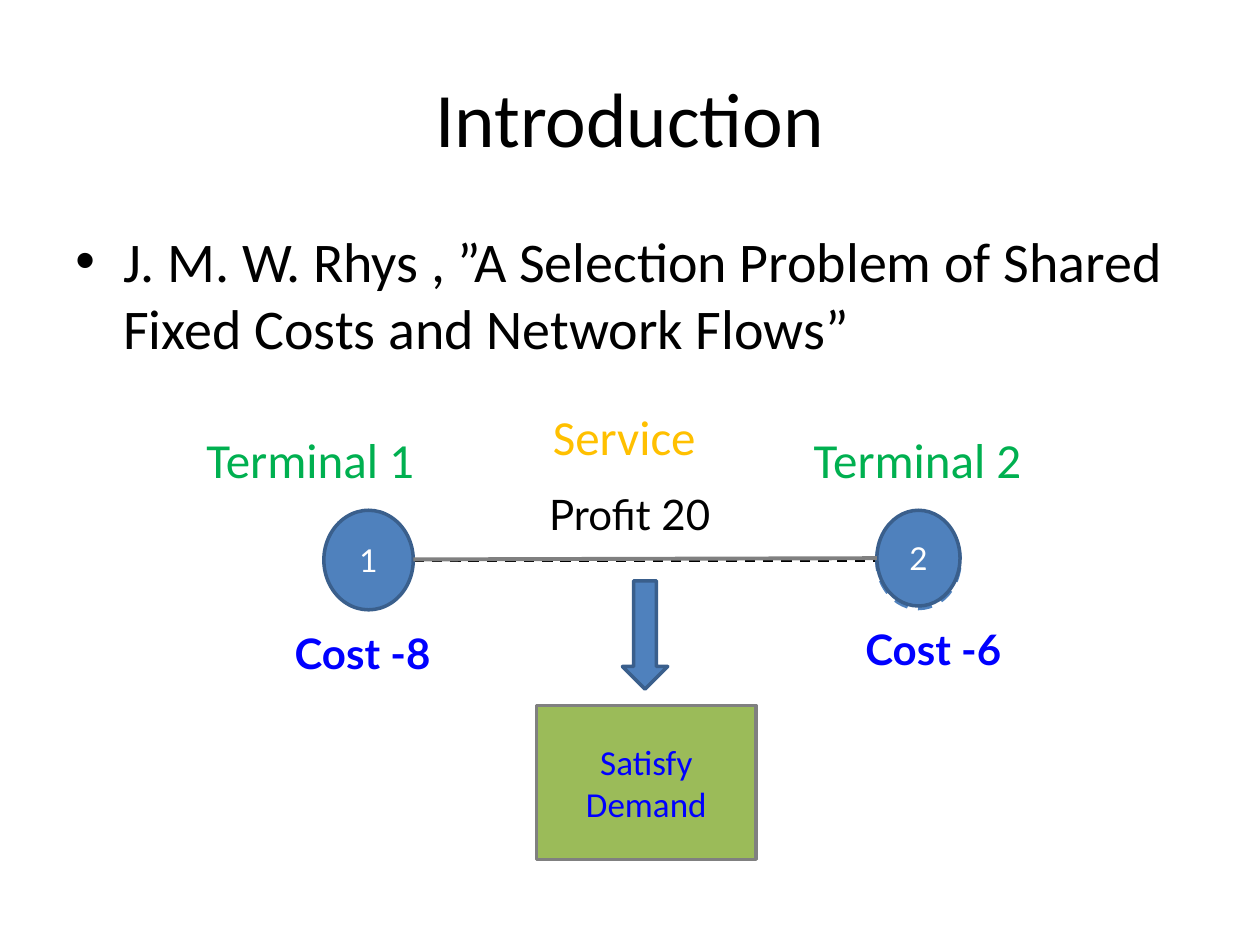
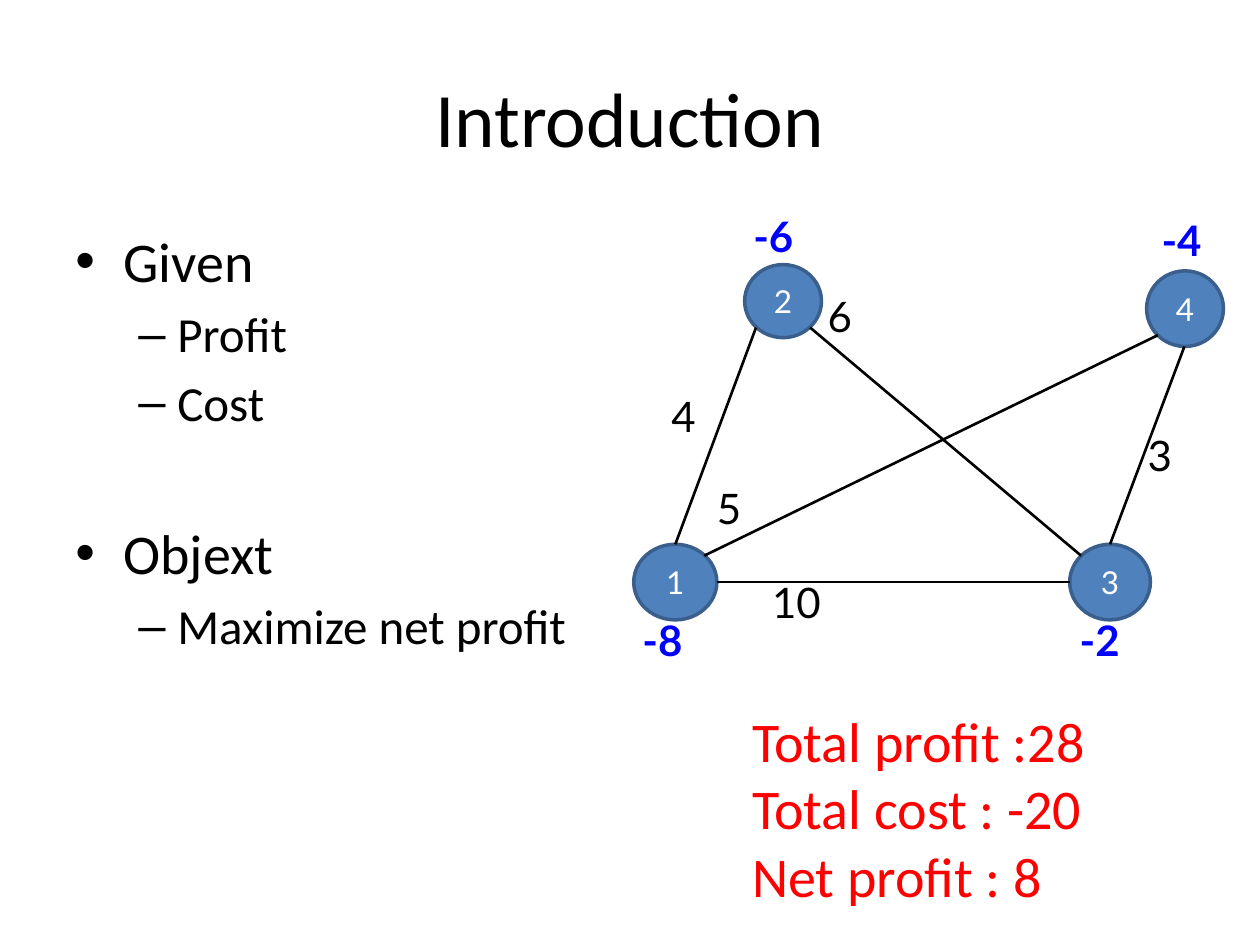
"""Build two introduction slides on selecting terminals and services in a network."""
import math
from dataclasses import dataclass

from lxml import etree
from pptx import Presentation, util as u
from pptx.dml.color import RGBColor
from pptx.enum import dml, shapes, text
from pptx.oxml import ns

PX = 9144
BLACK = RGBColor(0x00, 0x00, 0x00)
WHITE = RGBColor(0xFF, 0xFF, 0xFF)
BLUE = RGBColor(0x4F, 0x81, 0xBD)
DARK_BLUE = RGBColor(0x3A, 0x5F, 0x8C)
COST_BLUE = RGBColor(0x00, 0x00, 0xFF)
GREEN = RGBColor(0x00, 0xB0, 0x50)
OLIVE = RGBColor(0x9B, 0xBB, 0x59)
GREY = RGBColor(0x80, 0x80, 0x80)
AMBER = RGBColor(0xFF, 0xC0, 0x00)
RED = RGBColor(0xFF, 0x00, 0x00)
BODY_FONT, GRAPH_FONT = "Calibri", "Lato"
LEFT, CENTER = text.PP_ALIGN.LEFT, text.PP_ALIGN.CENTER
TOP, MIDDLE = text.MSO_ANCHOR.TOP, text.MSO_ANCHOR.MIDDLE
SITES = ("top", "top left", "left", "bottom left",
         "bottom", "bottom right", "right", "top right")


@dataclass(frozen=True)
class Box:
    """A rectangle in px, 100 to the inch."""
    x: int
    y: int
    w: int
    h: int

    def emu(self) -> list[int]:
        """Return left, top, width and height in EMU."""
        return [v * PX for v in (self.x, self.y, self.w, self.h)]

    def site(self, name: str) -> tuple[int, int]:
        """Return a point on the inscribed ellipse in px."""
        angle = math.radians(90 + 45 * SITES.index(name))
        return (round(self.x + self.w / 2 * (1 + math.cos(angle))),
                round(self.y + self.h / 2 * (1 - math.sin(angle))))


@dataclass(frozen=True)
class Style:
    """How a piece of text is set."""
    size: int
    color: RGBColor = BLACK
    font: str = BODY_FONT
    bold: bool = False
    align: text.PP_ALIGN = LEFT
    anchor: text.MSO_ANCHOR = TOP
    wrap: bool = True


@dataclass(frozen=True)
class Label:
    """Text in a box."""
    words: str
    box: Box
    style: Style


@dataclass(frozen=True)
class Bullet:
    """One body paragraph with its level and space before in points."""
    words: str
    level: int = 0
    before: float = 6.4


@dataclass(frozen=True)
class Level:
    """Bullet sign, margin and hanging indent in px, and text size."""
    sign: str
    margin: int
    hang: int
    size: int


@dataclass(frozen=True)
class Edge:
    """A link between named sites of two nodes."""
    start: str
    start_site: str
    end: str
    end_site: str


LEVELS = (Level("•", 38, 38, 32), Level("–", 81, 31, 28))
TITLE = Label("Introduction", Box(50, 30, 900, 125),
              Style(44, align=CENTER, anchor=MIDDLE))
BODY = Box(50, 175, 900, 495)
NODE = Style(18, WHITE, GRAPH_FONT, align=CENTER, anchor=MIDDLE)
DEMAND = Style(20, COST_BLUE, align=CENTER, anchor=MIDDLE)
COST = Style(24, COST_BLUE, GRAPH_FONT, bold=True)
PROFIT = Style(24, font=GRAPH_FONT)
TERMINAL = Style(28, GREEN, wrap=False)

PAIR = {"1": Box(257, 405, 71, 79), "2": Box(696, 405, 66, 76)}
PAIR_LABELS = (
    Label("Cost -6", Box(677, 490, 193, 50), COST),
    Label("Cost -8", Box(224, 493, 220, 50), COST),
    Label("Profit 20", Box(426, 383, 194, 71), PROFIT),
    Label("Terminal 1", Box(154, 336, 187, 57), TERMINAL),
    Label("Terminal 2", Box(636, 336, 187, 57), TERMINAL),
    Label("Service", Box(429, 318, 150, 57), Style(28, AMBER)),
)

NETWORK = {"1": Box(503, 432, 66, 60), "4": Box(910, 215, 61, 60),
           "3": Box(849, 432, 64, 60), "2": Box(591, 210, 61, 58)}
NETWORK_EDGES = (
    Edge("2", "bottom right", "3", "top left"),
    Edge("1", "top", "2", "bottom left"),
    Edge("1", "top right", "4", "bottom left"),
    Edge("1", "right", "3", "left"),
    Edge("4", "bottom", "3", "top"),
)
NETWORK_LABELS = (
    Label("-6", Box(588, 162, 69, 54), COST),
    Label("-4", Box(912, 165, 68, 54), COST),
    Label("-2", Box(847, 483, 68, 54), COST),
    Label("-8", Box(500, 483, 68, 54), COST),
    Label("6", Box(647, 226, 55, 61), PROFIT),
    Label("4", Box(523, 305, 55, 61), PROFIT),
    Label("10", Box(603, 453, 96, 61), PROFIT),
    Label("5", Box(559, 378, 55, 61), PROFIT),
    Label("3", Box(901, 336, 55, 61), PROFIT),
    Label("Total profit :28\nTotal cost : -20\nNet profit : 8",
          Box(587, 556, 315, 172), Style(32, RED)),
)


def format_run(r, style: Style) -> None:
    """Apply size, font, weight and colour to a run."""
    r.font.size = u.Pt(style.size)
    r.font.name = style.font
    r.font.bold = style.bold
    r.font.color.rgb = style.color


def set_text(tf, words: str, style: Style) -> None:
    """Fill a text frame and format its runs."""
    tf.text = words
    tf.word_wrap = style.wrap
    tf.vertical_anchor = style.anchor
    for p in tf.paragraphs:
        p.alignment = style.align
        for r in p.runs:
            format_run(r, style)


def add_label(s, label: Label) -> None:
    """Draw a text box."""
    tf = s.shapes.add_textbox(*label.box.emu()).text_frame
    set_text(tf, label.words, label.style)


def add_bullets(s, bullets: tuple[Bullet, ...]) -> None:
    """Draw the bulleted body text."""
    tf = s.shapes.add_textbox(*BODY.emu()).text_frame
    set_text(tf, "\n".join(b.words for b in bullets), Style(32))
    for p, bullet in zip(tf.paragraphs, bullets):
        level = LEVELS[bullet.level]
        p.level = bullet.level
        p.space_before = u.Pt(bullet.before)
        for r in p.runs:
            r.font.size = u.Pt(level.size)
        pPr = p._p.get_or_add_pPr()
        pPr.set("marL", str(level.margin * PX))
        pPr.set("indent", str(-level.hang * PX))
        etree.SubElement(pPr, ns.qn("a:buFont")).set("typeface", "Arial")
        etree.SubElement(pPr, ns.qn("a:buChar")).set("char", level.sign)


def add_block(s, kind: shapes.MSO_SHAPE, box: Box, fill: RGBColor = BLUE,
              line: RGBColor = DARK_BLUE):
    """Draw a filled and outlined preset shape."""
    sp = s.shapes.add_shape(kind, *box.emu())
    sp.shadow.inherit = False
    sp.fill.solid()
    sp.fill.fore_color.rgb = fill
    sp.line.color.rgb = line
    sp.line.width = u.Pt(2)
    return sp


def add_nodes(s, nodes: dict[str, Box]) -> None:
    """Draw numbered network nodes."""
    for name, box in nodes.items():
        sp = add_block(s, shapes.MSO_SHAPE.OVAL, box)
        set_text(sp.text_frame, name, NODE)


def add_line(s, start: tuple[int, int], end: tuple[int, int],
             color: RGBColor = BLACK, width: float = 1.5):
    """Draw a straight connector between two points in px."""
    ends = [v * PX for v in (*start, *end)]
    cx = s.shapes.add_connector(shapes.MSO_CONNECTOR.STRAIGHT, *ends)
    cx.line.color.rgb = color
    cx.line.width = u.Pt(width)
    etree.SubElement(cx._element.spPr, ns.qn("a:effectLst"))
    return cx


def add_slide(prs, bullets: tuple[Bullet, ...]):
    """Add a blank slide with the shared title and body text."""
    s = prs.slides.add_slide(prs.slide_layouts[6])
    add_label(s, TITLE)
    add_bullets(s, bullets)
    return s


def build_pair(prs) -> None:
    """Draw two terminals joined by one service."""
    s = add_slide(prs, (Bullet("J. M. W. Rhys , ”A Selection Problem of Shared "
                               "Fixed Costs and Network Flows”"),))
    dashed = add_block(s, shapes.MSO_SHAPE.OVAL, Box(696, 407, 66, 76), WHITE, BLUE)
    demand_line = add_line(s, (328, 445), (696, 445))
    for sp in (dashed, demand_line):
        sp.line.dash_style = dml.MSO_LINE.DASH
    add_nodes(s, PAIR)
    add_line(s, PAIR["1"].site("right"), PAIR["2"].site("left"), GREY, 2.25)
    add_block(s, shapes.MSO_SHAPE.DOWN_ARROW, Box(494, 461, 36, 86))
    demand = add_block(s, shapes.MSO_SHAPE.RECTANGLE, Box(426, 560, 174, 122),
                       OLIVE, GREY)
    set_text(demand.text_frame, "Satisfy\vDemand", DEMAND)
    for label in PAIR_LABELS:
        add_label(s, label)


def build_network(prs) -> None:
    """Draw the four-terminal example with its totals."""
    s = add_slide(prs, (Bullet("Given"), Bullet("Profit", 1, 5.6),
                        Bullet("Cost", 1, 5.6), Bullet("Objext", 0, 50),
                        Bullet("Maximize net profit", 1, 5.6)))
    add_nodes(s, NETWORK)
    for e in NETWORK_EDGES:
        add_line(s, NETWORK[e.start].site(e.start_site),
                 NETWORK[e.end].site(e.end_site))
    for label in NETWORK_LABELS:
        add_label(s, label)


def main() -> None:
    """Build and save the presentation."""
    prs = Presentation()
    prs.slide_width, prs.slide_height = 1000 * PX, 750 * PX
    build_pair(prs)
    build_network(prs)
    prs.save("out.pptx")


if __name__ == "__main__":
    main()
